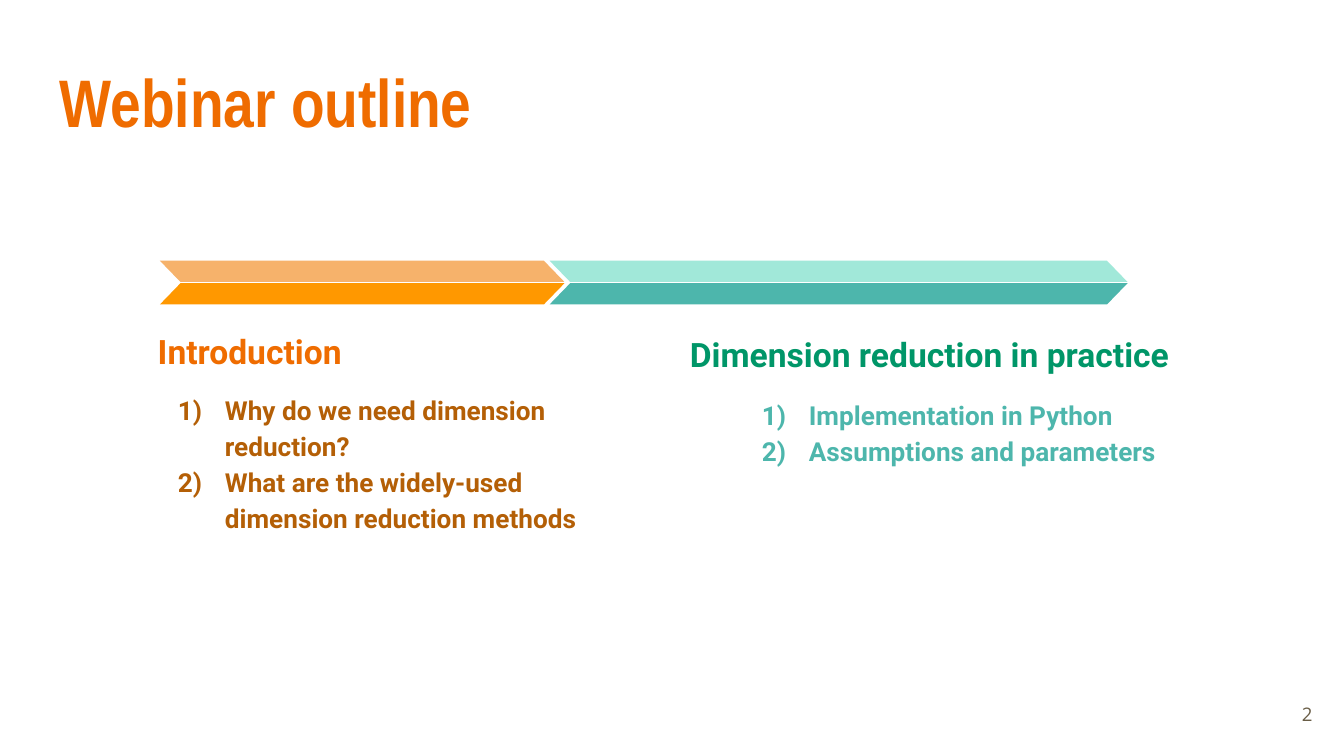
import pptx
import pptx.util
import pptx.dml.color
import pptx.enum.shapes
import pptx.enum.text
import pptx.oxml
import pptx.oxml.ns

WIDTH = pptx.util.Inches(10)
HEIGHT = WIDTH * 9 // 16
COLUMNS = 100
ROWS = COLUMNS * 9 / 16
ANCHOR = pptx.enum.text.MSO_ANCHOR
ALIGN = pptx.enum.text.PP_ALIGN

TITLE_BOX = (3.45, 3.5, 93.2, 7.7)
NUMBER_BOX = (92.65, 51, 6, 4.3)

# Heading and list boxes are left, top, width, height from the stage's corner.
STAGES = [
    dict(box=(11.9, 19.4, 30.1, 3.25), bands=("F6B26B", "FF9800"),
         heading="Introduction", heading_color="EF6C00",
         heading_box=(-1.15, 4.35, 16.5, 4.9),
         points=["Why do we need dimension reduction?",
                 "What are the widely-used dimension reduction methods"],
         points_color="B45F06", points_box=(-1.15, 8.6, 34.4, 13.4)),
    dict(box=(40.9, 19.4, 43, 3.25), bands=("A1E8D9", "4DB6AC"),
         heading="Dimension reduction in practice", heading_color="009668",
         heading_box=(9.45, 4.55, 39.1, 4.9),
         points=["Implementation in Python", "Assumptions and parameters"],
         points_color="4DB6AC", points_box=(13.3, 8.95, 36.2, 8.1)),
]


def rgb(color):
    return pptx.dml.color.RGBColor.from_string(color)


def place(box):
    """Turn a box in grid units into slide lengths."""
    left, top, width, height = box
    across, down = WIDTH / COLUMNS, HEIGHT / ROWS
    return [round(n) for n in (left * across, top * down, width * across, height * down)]


def within(box, part):
    return (box[0] + part[0], box[1] + part[1], part[2], part[3])


def add_text(slide, box, lines, font, size, color, bold=True,
             anchor=ANCHOR.TOP, align=ALIGN.LEFT, spacing=1.0):
    frame = slide.shapes.add_textbox(*place(box)).text_frame
    inset = pptx.util.Inches(0.1)
    frame_format = dict(word_wrap=True, vertical_anchor=anchor,
                        margin_left=inset, margin_right=inset,
                        margin_top=inset, margin_bottom=inset)
    for name, value in frame_format.items():
        setattr(frame, name, value)
    frame.text = "\n".join(lines)
    for paragraph in frame.paragraphs:
        paragraph.alignment = align
        paragraph.line_spacing = spacing
        run_font = paragraph.runs[0].font
        for name, value in dict(name=font, size=pptx.util.Pt(size), bold=bold).items():
            setattr(run_font, name, value)
        run_font.color.rgb = rgb(color)
    return frame


def number_points(frame, color):
    namespace = pptx.oxml.ns.nsdecls("a")
    for paragraph in frame.paragraphs:
        properties = paragraph._p.get_or_add_pPr()
        properties.set("marL", str(pptx.util.Inches(0.5)))
        properties.set("indent", str(pptx.util.Inches(-0.35)))
        for xml in (
            f'<a:buClr {namespace}><a:srgbClr val="{color}"/></a:buClr>',
            f'<a:buFont {namespace} typeface="Roboto"/>',
            f'<a:buAutoNum {namespace} type="arabicParenR"/>',
        ):
            properties.append(pptx.oxml.parse_xml(xml))


def add_arrow(slide, box, colors):
    """Two slanted bands, the upper one mirrored, that form a chevron."""
    left, top, width, height = box
    band_height = 1.58
    tops = (top, top + height - band_height)
    for band_top, color, mirrored in zip(tops, colors, (True, False)):
        band = slide.shapes.add_shape(
            pptx.enum.shapes.MSO_SHAPE.PARALLELOGRAM,
            *place((left, band_top, width, band_height)))
        band.adjustments[0] = 0.97
        band.shadow.inherit = False
        band.fill.solid()
        band.fill.fore_color.rgb = rgb(color)
        band.line.fill.background()
        if mirrored:
            band.element.spPr.find(pptx.oxml.ns.qn("a:xfrm")).set("flipH", "1")


def add_stage(slide, box, bands, heading, heading_color, heading_box,
              points, points_color, points_box):
    add_text(slide, within(box, heading_box), [heading], "Roboto", 18,
             heading_color, anchor=ANCHOR.BOTTOM, spacing=1.15)
    listing = add_text(slide, within(box, points_box), points, "Roboto", 14,
                       points_color, spacing=1.15)
    number_points(listing, points_color)
    add_arrow(slide, box, bands)


def main():
    deck = pptx.Presentation()
    deck.slide_width, deck.slide_height = WIDTH, HEIGHT
    slide = deck.slides.add_slide(deck.slide_layouts[6])
    for stage in STAGES:
        add_stage(slide, **stage)
    add_text(slide, TITLE_BOX, ["Webinar outline"], "Arial Narrow", 36, "EF6C00")
    add_text(slide, NUMBER_BOX, ["2"], "Open Sans", 10, "695D46", bold=False,
             anchor=ANCHOR.MIDDLE, align=ALIGN.RIGHT)
    deck.save("out.pptx")


if __name__ == "__main__":
    main()
